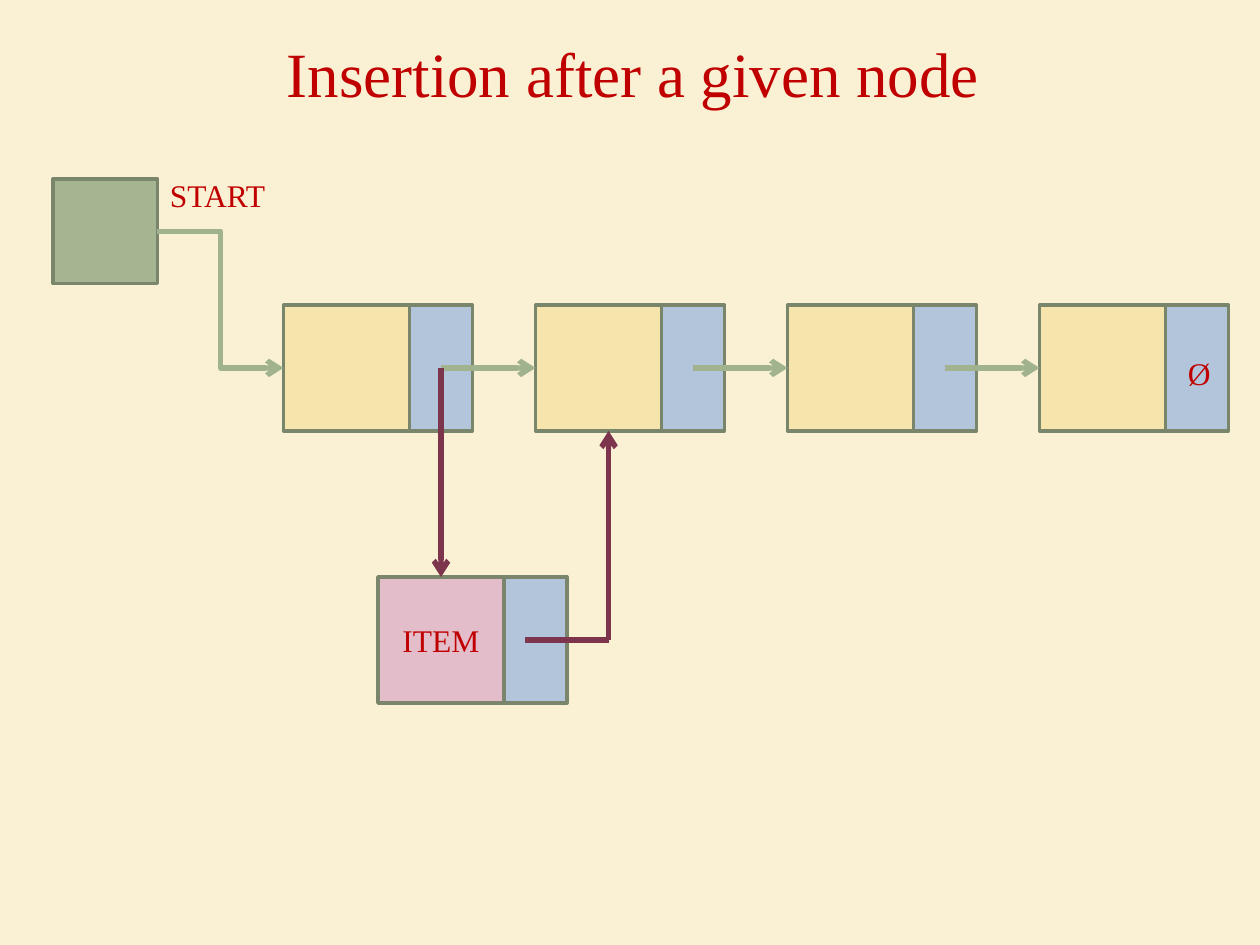
from lxml.etree import SubElement
from pptx import Presentation
from pptx.dml.color import RGBColor
from pptx.enum.shapes import MSO_CONNECTOR as Link, MSO_SHAPE as Shape
from pptx.enum.text import MSO_ANCHOR as Anchor, MSO_AUTO_SIZE as AutoSize, PP_ALIGN as Align
from pptx.oxml.ns import qn
from pptx.util import Inches, Pt

TOP, LEFT, RIGHT = 0, 1, 3


def color(value):
    return RGBColor.from_string(value)


def apply(target, values):
    for name, value in values.items():
        setattr(target, name, value)


class ListDiagram:
    background = "FAF1D4"
    text_color = "C00000"
    outline = "7A866C"
    start_fill = "A5B592"
    data_fill = "F5E4AB"
    pointer_fill = "B3C5DA"
    item_fill = "E3BECA"
    link_color = "A1B28E"
    insert_color = "7C354D"
    font = "Times New Roman"

    def __init__(self, slide):
        self.slide = slide
        fill = slide.background.fill
        fill.solid()
        fill.fore_color.rgb = color(self.background)

    def put_text(self, frame, text, size=18, align=Align.LEFT, **frame_format):
        apply(frame, frame_format)
        paragraph = frame.paragraphs[0]
        paragraph.alignment = align
        run = paragraph.add_run()
        run.text = text
        apply(run.font, {"name": self.font, "size": Pt(size)})
        run.font.color.rgb = color(self.text_color)

    def title(self, text, left, top, width, height):
        heading = self.slide.shapes.title
        apply(heading, {"left": Inches(left), "top": Inches(top),
                        "width": Inches(width), "height": Inches(height)})
        self.put_text(heading.text_frame, text, 36, Align.CENTER,
                      vertical_anchor=Anchor.MIDDLE, auto_size=AutoSize.NONE)

    def label(self, text, left, top, width, height=0.4):
        box = self.slide.shapes.add_textbox(
            Inches(left), Inches(top), Inches(width), Inches(height))
        self.put_text(box.text_frame, text, word_wrap=False,
                      auto_size=AutoSize.SHAPE_TO_FIT_TEXT)

    def cell(self, left, top, width, height, fill, text=""):
        box = self.slide.shapes.add_shape(
            Shape.RECTANGLE, Inches(left), Inches(top), Inches(width), Inches(height))
        box.shadow.inherit = False
        box.fill.solid()
        box.fill.fore_color.rgb = color(fill)
        box.line.color.rgb = color(self.outline)
        box.line.width = Pt(2)
        if text:
            self.put_text(box.text_frame, text, align=Align.CENTER,
                          vertical_anchor=Anchor.MIDDLE)
        return box

    def node(self, left, top, fill, text=""):
        data = self.cell(left, top, 1, 1, fill, text)
        self.cell(left + 1, top, 0.5, 1, self.pointer_fill)
        return data

    def link(self, start, end, stroke, kind=Link.STRAIGHT, arrow=True,
             source=None, target=None):
        line = self.slide.shapes.add_connector(
            kind, *(Inches(value) for value in (*start, *end)))
        line.line.color.rgb = color(stroke)
        line.line.width = Pt(3)
        if source:
            line.begin_connect(*source)
        if target:
            line.end_connect(*target)
        properties = line._element.spPr
        if arrow:
            SubElement(properties.find(qn("a:ln")), qn("a:tailEnd"), type="arrow")
        SubElement(properties, qn("a:effectLst"))


def main():
    deck = Presentation()
    apply(deck, {"slide_width": Inches(10), "slide_height": Inches(7.5)})
    diagram = ListDiagram(deck.slides.add_slide(deck.slide_layouts[5]))
    diagram.title("Insertion after a given node", 0.55, 0, 8.95, 1.15)

    node_top, first_left, pitch = 2.42, 2.25, 2
    link_y = node_top + 0.5
    lefts = [first_left + pitch * index for index in range(4)]
    start_box = diagram.cell(0.42, 1.42, 0.83, 0.83, diagram.start_fill)
    nodes = [diagram.node(left, node_top, diagram.data_fill) for left in lefts]

    diagram.link((1.25, 1.83), (first_left, link_y), diagram.link_color, Link.ELBOW,
                 source=(start_box, RIGHT), target=(nodes[0], LEFT))
    for left, next_node in zip(lefts, nodes[1:]):
        diagram.link((left + 1.25, link_y), (left + pitch, link_y),
                     diagram.link_color, target=(next_node, LEFT))
    diagram.label("Ø", 9.33, 2.76, 0.38)
    diagram.label("START", 1.25, 1.35, 0.97)

    item_left, item_top, rise_x = 3, 4.58, 4.83
    item_y = item_top + 0.5
    item = diagram.node(item_left, item_top, diagram.item_fill, "ITEM")
    diagram.link((3.5, link_y), (3.5, item_top), diagram.insert_color, target=(item, TOP))
    diagram.link((rise_x, item_y), (rise_x, node_top + 1), diagram.insert_color)
    diagram.link((4.17, item_y), (rise_x, item_y), diagram.insert_color, arrow=False)

    deck.save("out.pptx")


if __name__ == "__main__":
    main()
